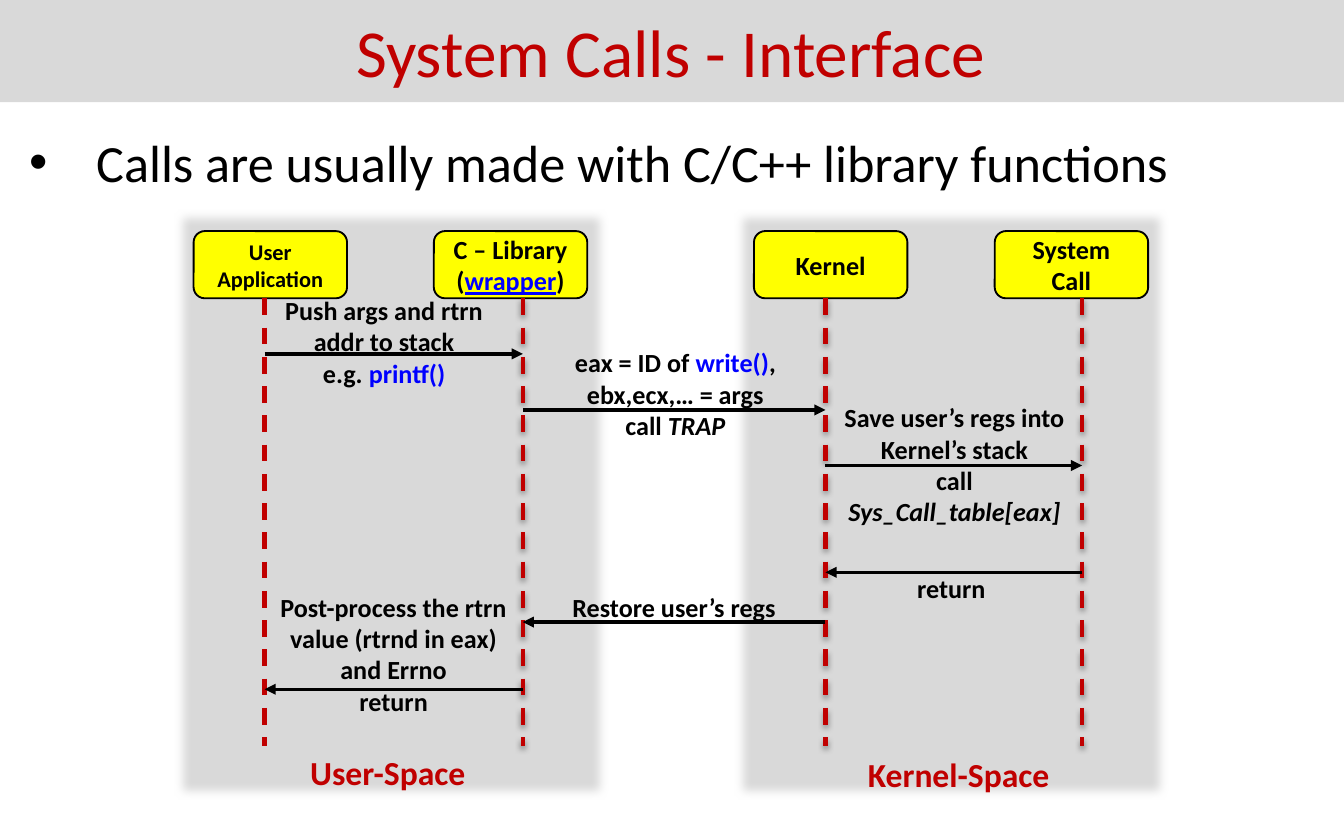
from lxml import etree
from pptx import Presentation
from pptx.dml.color import RGBColor
from pptx.enum.dml import MSO_LINE
from pptx.enum.shapes import MSO_CONNECTOR, MSO_SHAPE
from pptx.enum.text import MSO_ANCHOR, PP_ALIGN
from pptx.oxml.ns import qn
from pptx.util import Cm, Pt

CENTER, LEFT = PP_ALIGN.CENTER, PP_ALIGN.LEFT
MIDDLE, TOP = MSO_ANCHOR.MIDDLE, MSO_ANCHOR.TOP
ROUNDED = MSO_SHAPE.ROUNDED_RECTANGLE
STRAIGHT, DASH = MSO_CONNECTOR.STRAIGHT, MSO_LINE.DASH

FONT = "Calibri"
RED, GREY, YELLOW, BLUE, BLACK = "C00000", "D9D9D9", "FFFF00", "0000FF", "000000"

TITLE = "System Calls - Interface"
BULLET = "Calls are usually made with C/C++ library functions"

# A line of text is a list of runs: (text, style)
PLAIN, CODE, LINK, ITALIC = "plain", "code", "link", "italic"

# Space name, panel left, label left, label top
SPACES = [
    ("User-Space", 3.3, 4.37, 14.1),
    ("Kernel-Space", 13.89, 15.16, 14.12),
]
PANEL_TOP, PANEL_WIDTH, PANEL_HEIGHT = 3.96, 8.2, 11.15

# Lines of the name, text size, box left, lifeline x, lifeline has a shadow
ACTORS = [
    ([[("User Application", PLAIN)]], 12, 3.66, 5.0, False),
    ([[("C – Library", PLAIN)],
      [("(", PLAIN), ("wrapper", LINK), (")", PLAIN)]], 14, 8.2, 9.88, True),
    ([[("Kernel", PLAIN)]], 14, 14.25, 15.6, True),
    ([[("System Call", PLAIN)]], 14, 18.8, 20.45, True),
]
ACTOR_TOP, ACTOR_WIDTH, ACTOR_HEIGHT = 4.37, 2.9, 1.27
LIFELINE_END = 14.1

# Sender, receiver, arrow y, text (left, top, width, height), lines of text
MESSAGES = [
    (0, 1, 6.69, (5.1, 5.44, 4.32, 2.06),
     [[("Push args and rtrn addr to stack", PLAIN)],
      [("e.g. ", PLAIN), ("printf()", CODE)]]),
    (1, 2, 7.75, (10.2, 6.43, 5.13, 2.06),
     [[("eax = ID of ", PLAIN), ("write()", CODE), (",", PLAIN)],
      [("ebx,ecx,… = args", PLAIN)],
      [("call ", PLAIN), ("TRAP", ITALIC)]]),
    (2, 3, 8.8, (15.6, 7.47, 4.88, 2.64),
     [[("Save user’s regs into", PLAIN)],
      [("Kernel’s stack", PLAIN)],
      [("call", PLAIN)],
      [("Sys_Call_table[eax]", ITALIC)]]),
    (3, 2, 10.82, (15.54, 10.69, 4.88, 0.86), [[("return", PLAIN)]]),
    (2, 1, 11.76, (9.88, 11.05, 5.72, 0.86), [[("Restore user’s regs", PLAIN)]]),
    (1, 0, 13.03, (5.0, 11.05, 4.88, 2.64),
     [[("Post-process the rtrn value (rtrnd in eax)", PLAIN)],
      [("and Errno", PLAIN)],
      [("return", PLAIN)]]),
]


def color(hex_string):
    return RGBColor.from_string(hex_string)


def place(shape, left, top, width, height):
    shape.left, shape.top = Cm(left), Cm(top)
    shape.width, shape.height = Cm(width), Cm(height)


def write(shape, lines, size, ink=BLACK, bold=True, align=CENTER, anchor=TOP):
    frame = shape.text_frame
    frame.word_wrap = True
    frame.vertical_anchor = anchor
    for index, line in enumerate(lines):
        paragraph = frame.add_paragraph() if index else frame.paragraphs[0]
        paragraph.alignment = align
        for text, style in line:
            run = paragraph.add_run()
            run.text = text
            font = run.font
            font.name, font.size, font.bold = FONT, Pt(size), bold
            font.color.rgb = color(BLUE if style in (CODE, LINK) else ink)
            if style == LINK:
                font.underline = True
            if style == ITALIC:
                font.italic = True


def add_label(slide, box, lines, size, **look):
    label = slide.shapes.add_textbox(*map(Cm, box))
    write(label, lines, size, **look)
    return label


def add_rounded(slide, fill, *box):
    shape = slide.shapes.add_shape(ROUNDED, *map(Cm, box))
    shape.shadow.inherit = False
    shape.fill.solid()
    shape.fill.fore_color.rgb = color(fill)
    return shape


def add_line(slide, ends, ink, width):
    """Draw a straight connector; return it with its empty effect list."""
    line = slide.shapes.add_connector(STRAIGHT, *map(Cm, ends))
    line.line.color.rgb = color(ink)
    line.line.width = Pt(width)
    effects = etree.SubElement(line._element.spPr, qn("a:effectLst"))
    return line, effects


def add_shadow(effects):
    shadow = etree.SubElement(effects, qn("a:outerShdw"), blurRad=str(Pt(3.1)),
                              dist=str(Pt(1.6)), dir="5400000", rotWithShape="0")
    ink = etree.SubElement(shadow, qn("a:srgbClr"), val=BLACK)
    etree.SubElement(ink, qn("a:alpha"), val="38000")


def add_bullet(paragraph, indent):
    properties = paragraph._p.get_or_add_pPr()
    properties.set("marL", str(Cm(indent)))
    properties.set("indent", str(-Cm(indent)))
    etree.SubElement(properties, qn("a:buFont"), typeface="Arial")
    etree.SubElement(properties, qn("a:buChar"), char="•")


def add_panel(slide, left):
    panel = add_rounded(slide, GREY, left, PANEL_TOP, PANEL_WIDTH, PANEL_HEIGHT)
    panel.adjustments[0] = 0
    panel.line.fill.background()
    effects = panel._element.spPr.find(qn("a:effectLst"))
    etree.SubElement(effects, qn("a:softEdge"), rad=str(Pt(5)))


def add_actor(slide, name, size, left):
    actor = add_rounded(slide, YELLOW, left, ACTOR_TOP, ACTOR_WIDTH, ACTOR_HEIGHT)
    actor.line.color.rgb = color(BLACK)
    actor.line.width = Pt(1)
    write(actor, name, size, anchor=MIDDLE)


def add_lifeline(slide, x, shadowed):
    ends = (x, ACTOR_TOP + ACTOR_HEIGHT, x, LIFELINE_END)
    lifeline, effects = add_line(slide, ends, RED, 2.25)
    lifeline.line.dash_style = DASH
    if shadowed:
        add_shadow(effects)


def add_arrow(slide, start, end, y):
    arrow, _ = add_line(slide, (start, y, end, y), BLACK, 1.75)
    etree.SubElement(arrow.line._get_or_add_ln(), qn("a:tailEnd"), type="triangle")


def main():
    deck = Presentation()
    deck.slide_width, deck.slide_height = Cm(25.4), Cm(15.88)
    slide = deck.slides.add_slide(deck.slide_layouts[5])

    title = slide.shapes.title
    place(title, -0.05, 0, 25.45, 1.93)
    title.fill.solid()
    title.fill.fore_color.rgb = color(GREY)
    write(title, [[(TITLE, PLAIN)]], 36, ink=RED, bold=False, anchor=MIDDLE)

    body = add_label(slide, (0.3, 2.34, 24.79, 1.5), [[(BULLET, PLAIN)]], 28,
                     bold=False, align=LEFT)
    add_bullet(body.text_frame.paragraphs[0], 1.27)

    for _, panel_left, _, _ in SPACES:
        add_panel(slide, panel_left)
    for name, size, left, _, _ in ACTORS:
        add_actor(slide, name, size, left)
    for _, _, _, x, shadowed in ACTORS:
        add_lifeline(slide, x, shadowed)

    lanes = [actor[3] for actor in ACTORS]
    for sender, receiver, y, _, _ in MESSAGES:
        add_arrow(slide, lanes[sender], lanes[receiver], y)
    for _, _, _, box, lines in MESSAGES:
        add_label(slide, box, lines, 14)
    for space, _, left, top in SPACES:
        add_label(slide, (left, top, 5.92, 1.02), [[(space, PLAIN)]], 18, ink=RED)

    deck.save("out.pptx")


if __name__ == "__main__":
    main()
